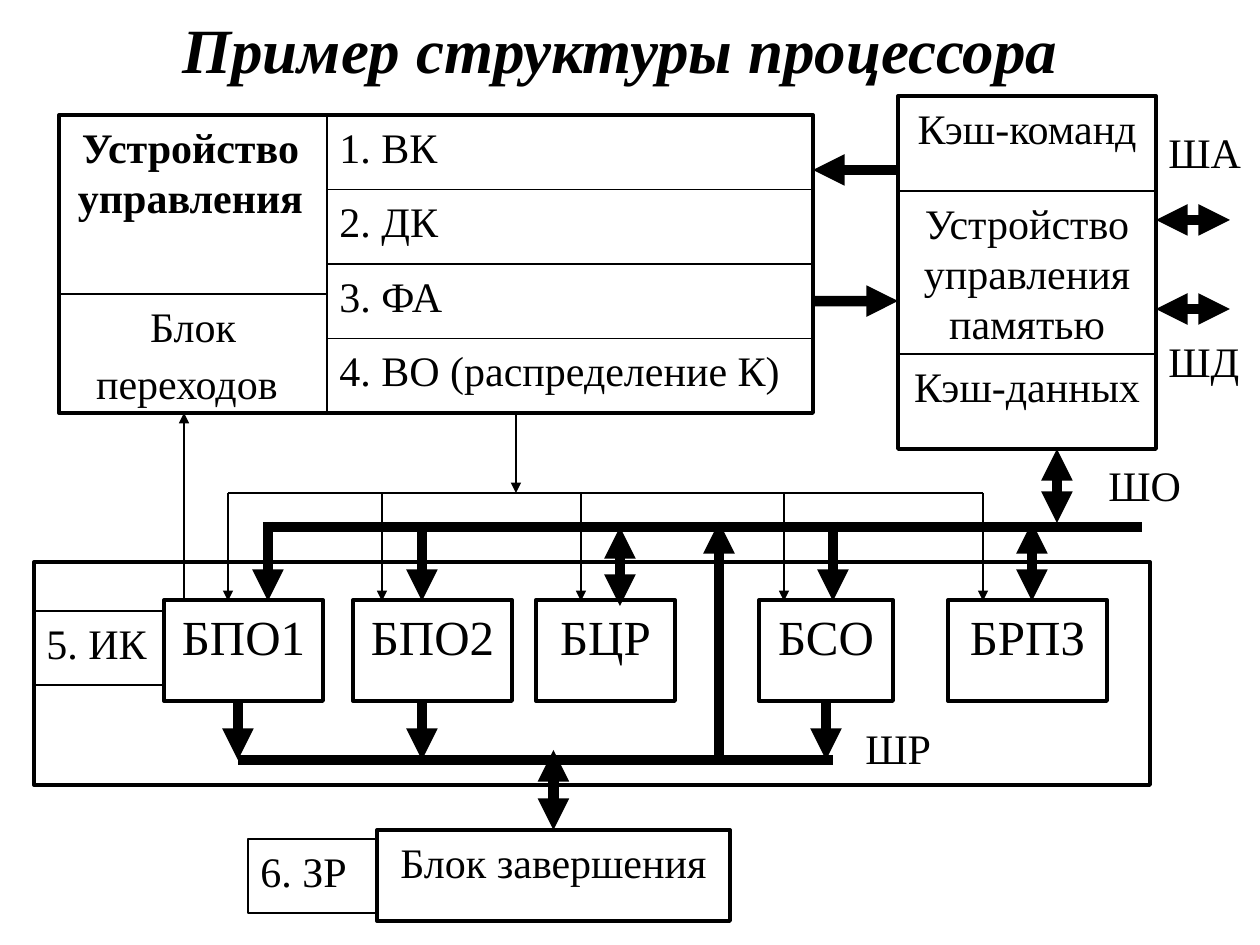
from lxml import etree
from pptx import Presentation
from pptx import util as u
from pptx.dml.color import RGBColor
from pptx.enum import shapes, text
from pptx.oxml import ns

PX = 914400 / 126
BLACK = RGBColor(0, 0, 0)
FONT = "Times New Roman"
LEFT, CENTER = text.PP_ALIGN.LEFT, text.PP_ALIGN.CENTER
THIN, FRAME, SIGNAL, BUS = 1, 2.25, 1.5, 6


def px(n):
    return u.Emu(round(n * PX))


def add_run(p, words, size=24, bold=False, italic=False):
    r = p.add_run()
    r.text = words
    f = r.font
    f.name, f.size, f.bold, f.italic = FONT, u.Pt(size), bold, italic
    f.color.rgb = BLACK


def set_text(sp, words, size=24, align=LEFT, bold=False):
    tf = sp.text_frame
    tf.word_wrap = True
    tf.vertical_anchor = text.MSO_ANCHOR.TOP
    p = tf.paragraphs[0]
    p.alignment = align
    add_run(p, words, size, bold)
    return p


def add_box(s, x, y, w, h, weight, words=None, size=24, align=CENTER):
    sp = s.shapes.add_shape(shapes.MSO_SHAPE.RECTANGLE, px(x), px(y), px(w), px(h))
    sp.shadow.inherit = False
    sp.fill.background()
    sp.line.color.rgb = BLACK
    sp.line.width = u.Pt(weight)
    if words:
        set_text(sp, words, size, align)
    return sp


def add_label(s, x, y, w, h, words, align=LEFT, bold=False):
    sp = s.shapes.add_textbox(px(x), px(y), px(w), px(h))
    set_text(sp, words, align=align, bold=bold)


def add_line(s, x1, y1, x2, y2, weight, ends=()):
    c = s.shapes.add_connector(shapes.MSO_CONNECTOR.STRAIGHT,
                               px(x1), px(y1), px(x2), px(y2))
    c.line.color.rgb = BLACK
    c.line.width = u.Pt(weight)
    ln = c.line._get_or_add_ln()
    for end in ends:
        etree.SubElement(ln, ns.qn(f"a:{end}"), type="triangle")
    etree.SubElement(c._element.spPr, ns.qn("a:effectLst"))
    return c


TO = ("tailEnd",)
BOTH = ("headEnd", "tailEnd")


def title(s, x, y, w, h):
    sp = s.shapes.title
    sp.left, sp.top, sp.width, sp.height = px(x), px(y), px(w), px(h)
    tf = sp.text_frame
    tf.word_wrap = True
    tf.auto_size = text.MSO_AUTO_SIZE.NONE
    tf.vertical_anchor = text.MSO_ANCHOR.MIDDLE
    p = tf.paragraphs[0]
    p.alignment = CENTER
    add_run(p, "Пример структуры процессора", 36, True, True)


def control_unit(s, x, y, w, h):
    split, row = 268, h / 4
    add_label(s, x + 5, y, 253, 228, "Устройство управления", CENTER, True)
    jumps = add_box(s, x, y + 179, split, h - 179, THIN, "Блок переходов")
    add_run(jumps.text_frame.paragraphs[0], " ", 28)
    stages = ["1. ВК", "2. ДК", "3. ФА", "4. ВО (распределение К)"]
    rows = [add_box(s, x + split, y + i * row, w - split, row, THIN, words, align=LEFT)
            for i, words in enumerate(stages)]
    add_box(s, x, y, w, h, FRAME)
    return rows


def memory_unit(s, x, y, w, h):
    cache = 95
    add_box(s, x, y, w, cache, THIN, "Кэш-команд")
    add_box(s, x, y + cache, w, h - 2 * cache, THIN, "Устройство управления памятью")
    add_box(s, x, y + h - cache, w, cache, THIN, "Кэш-данных")
    add_box(s, x, y, w, h, FRAME)
    for words, label_y, arrow_y in [("ША", 24, 124), ("ШД", 233, 213)]:
        add_label(s, x + w, y + label_y, 100, 74, words)
        add_line(s, x + w + 74, y + arrow_y, x + w, y + arrow_y, BUS, BOTH)
    add_line(s, x + 159, y + h, x + 159, y + h + 74, BUS, BOTH)
    add_label(s, x + 198, y + 357, 129, 74, "ШО")


def memory_links(s, x, y, w, h, address_row):
    add_line(s, x + w, y, x, y, BUS, TO)
    c = add_line(s, x, y + h, x + w, y + h, BUS, TO)
    c.begin_connect(address_row, 3)


def command_lines(s, x, y, w, h):
    add_line(s, x + 288, y - 80, x + 288, y, SIGNAL, TO)
    add_line(s, x, y, x + w, y, SIGNAL)
    for dx in (0, 154, 353, 556, w):
        add_line(s, x + dx, y, x + dx, y + h, SIGNAL, TO)
    add_line(s, x - 44, y + h, x - 44, y - 80, SIGNAL, TO)


def operand_bus(s, x, y, w, h):
    add_line(s, x, y, x + w, y, BUS)
    for dx, dy, ends in [(5, -5, TO), (159, -5, TO), (357, 0, BOTH),
                         (570, -5, TO), (769, -5, BOTH)]:
        add_line(s, x + dx, y + dy, x + dx, y + dy + h, BUS, ends)


def execution_unit(s, x, y, w, h):
    add_box(s, x, y, w, h, FRAME)
    add_box(s, x, y + 49, 129, 74, THIN, "5. ИК", align=LEFT)
    top, height, bus = y + 38, 101, y + 198
    blocks = {}
    for words, dx, width in [("БПО1", 130, 159), ("БПО2", 319, 159), ("БЦР", 502, 139),
                             ("БСО", 725, 134), ("БРПЗ", 914, 159)]:
        blocks[words] = add_box(s, x + dx, top, width, height, FRAME, words, 28)
    for dx in (204, 388):
        add_line(s, x + dx, top + height, x + dx, bus, BUS, TO)
    c = add_line(s, x + 792, top + height, x + 792, bus, BUS, TO)
    c.begin_connect(blocks["БСО"], 2)
    add_line(s, x + 204, bus, x + 799, bus, BUS)
    add_line(s, x + 685, bus - 5, x + 685, y - 40, BUS, TO)
    add_label(s, x + 819, y + 154, 129, 74, "ШР")


def completion_unit(s, x, y, w, h):
    add_box(s, x, y + 9, 129, 74, THIN, "6. ЗР", align=LEFT)
    block = add_box(s, x + 129, y, w - 129, h, FRAME, "Блок завершения")
    middle = x + 129 + (w - 129) / 2
    c = add_line(s, middle, y - 80, middle, y, BUS, BOTH)
    c.end_connect(block, 0)


def main():
    prs = Presentation()
    prs.slide_width, prs.slide_height = px(1260), px(945)
    s = prs.slides.add_slide(prs.slide_layouts[5])
    title(s, 0, 6, 1240, 84)
    rows = control_unit(s, 59, 115, 754, 298)
    memory_unit(s, 898, 96, 258, 353)
    memory_links(s, 813, 170, 85, 131, rows[2])
    command_lines(s, 228, 493, 755, 108)
    operand_bus(s, 263, 527, 879, 79)
    execution_unit(s, 34, 562, 1116, 223)
    completion_unit(s, 248, 830, 482, 91)
    prs.save("out.pptx")


if __name__ == "__main__":
    main()
